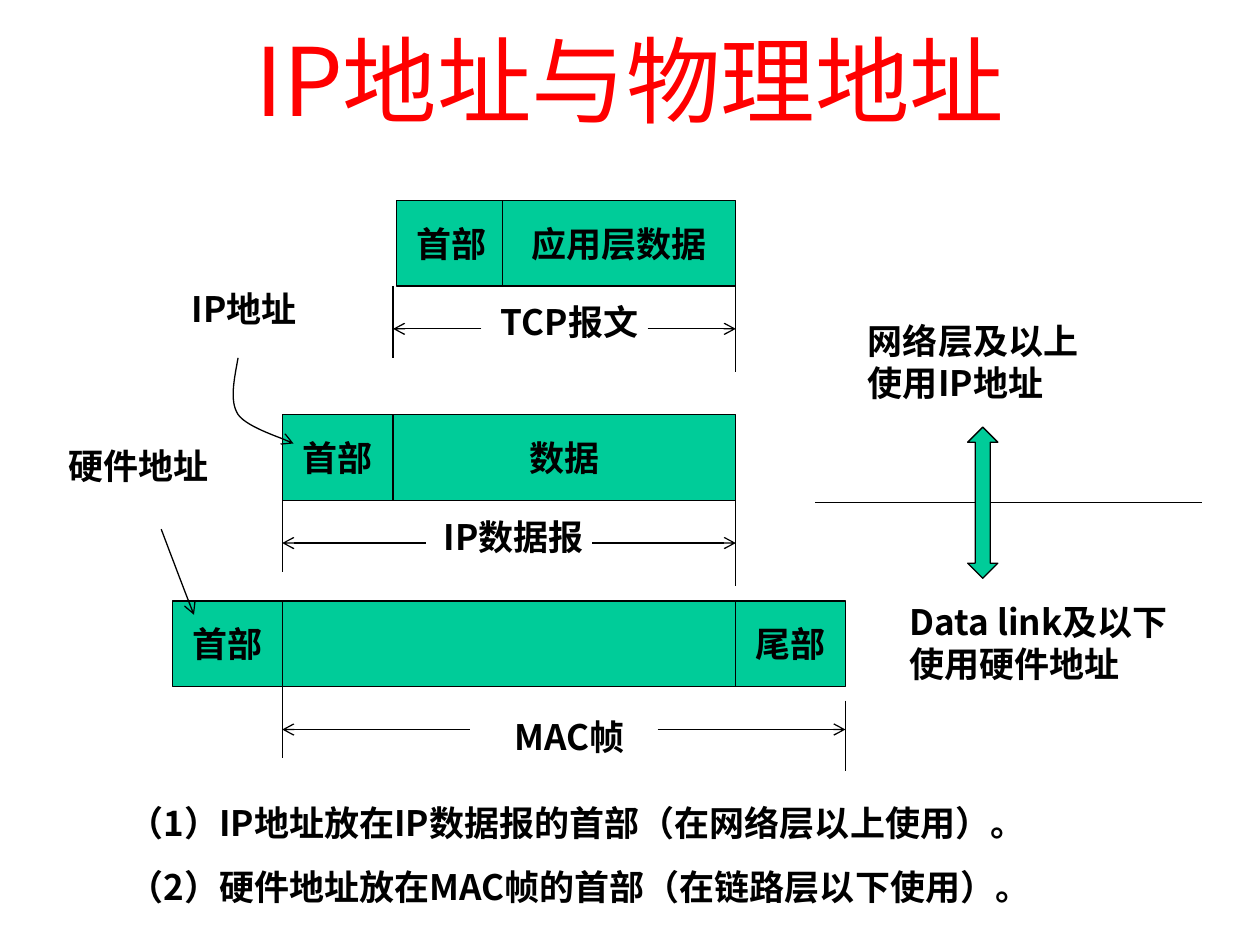
from dataclasses import dataclass

from lxml import etree
from pptx import Presentation, util as u
from pptx.dml.color import RGBColor
from pptx.enum import shapes, text
from pptx.oxml.ns import qn

FONT = "Noto Sans CJK SC"
BLACK, GREEN, RED = "000000", "00CC99", "FF0000"
MAC, IP, TCP, DATA, END, TRAILER = 1.37, 2.24, 3.12, 3.99, 5.84, 6.71
ROW_TCP, ROW_IP, ROW_MAC = 1.59, 3.29, 4.77
ROW_H, TICK_H, SPAN_LABEL_W = 0.68, 0.57, 1.5


@dataclass
class Field:
    left: float
    right: float
    row: float
    label: str = ""


@dataclass
class Span:
    left: float
    right: float
    row: float
    arrow_y: float
    arrow_len: float
    right_tick: tuple[float, float]
    label_centre: float
    label_top: float
    label: str


@dataclass
class Label:
    left: float
    top: float
    width: float
    height: float
    lines: list[str]
    centred: bool = False
    anchor: text.MSO_ANCHOR = text.MSO_ANCHOR.MIDDLE
    gap: float = 0


def rgb(value: str) -> RGBColor:
    return RGBColor.from_string(value)


def outline(sp, arrow: bool = False) -> None:
    sp.line.color.rgb = rgb(BLACK)
    sp.line.width = u.Pt(0.75)
    if arrow:
        etree.SubElement(sp.line._get_or_add_ln(), qn("a:tailEnd"), type="arrow")


def write(tf, lines: list[str], align, size: float = 20, color: str = BLACK,
          bold: bool = True, gap: float = 0) -> None:
    for i, line in enumerate(lines):
        p = tf.add_paragraph() if i else tf.paragraphs[0]
        p.alignment = align
        p.space_before = u.Pt(gap if i else 0)
        r = p.add_run()
        r.text = line
        r.font.size, r.font.bold, r.font.name = u.Pt(size), bold, FONT
        r.font.color.rgb = rgb(color)
        etree.SubElement(r.font._element, qn("a:ea"), typeface=FONT)


def add_label(s, label: Label) -> None:
    sp = s.shapes.add_textbox(*map(u.Inches, (label.left, label.top, label.width, label.height)))
    tf = sp.text_frame
    tf.word_wrap = not label.centred
    tf.vertical_anchor = label.anchor
    align = text.PP_ALIGN.CENTER if label.centred else text.PP_ALIGN.LEFT
    write(tf, label.lines, align, gap=label.gap)


def add_solid(s, kind, left: float, top: float, width: float, height: float):
    sp = s.shapes.add_shape(kind, *map(u.Inches, (left, top, width, height)))
    sp.shadow.inherit = False
    sp.fill.solid()
    sp.fill.fore_color.rgb = rgb(GREEN)
    outline(sp)
    return sp


def add_field(s, field: Field) -> None:
    sp = add_solid(s, shapes.MSO_SHAPE.RECTANGLE, field.left, field.row,
                   field.right - field.left, ROW_H)
    if field.label:
        tf = sp.text_frame
        tf.word_wrap = False
        tf.vertical_anchor = text.MSO_ANCHOR.MIDDLE
        write(tf, [field.label], text.PP_ALIGN.CENTER)


def add_line(s, x1: float, y1: float, x2: float, y2: float, arrow: bool = False) -> None:
    sp = s.shapes.add_connector(shapes.MSO_CONNECTOR.STRAIGHT, *map(u.Inches, (x1, y1, x2, y2)))
    outline(sp, arrow)
    etree.SubElement(sp._element.spPr, qn("a:effectLst"))


def add_span(s, span: Span) -> None:
    bottom = span.row + ROW_H
    add_line(s, span.left, bottom, span.left, bottom + TICK_H)
    add_line(s, span.right, span.right_tick[0], span.right, span.right_tick[1])
    for edge, step in ((span.left, span.arrow_len), (span.right, -span.arrow_len)):
        add_line(s, edge + step, span.arrow_y, edge, span.arrow_y, arrow=True)
    add_label(s, Label(span.label_centre - SPAN_LABEL_W / 2, span.label_top,
                       SPAN_LABEL_W, TICK_H, [span.label], centred=True))


def add_curve(s, points: list[tuple[float, float]], steps: int = 16) -> None:
    track = [points[0]]
    for k in range(0, len(points) - 1, 3):
        a, b, c, d = points[k:k + 4]
        for n in range(1, steps + 1):
            t = n / steps
            weights = ((1 - t) ** 3, 3 * t * (1 - t) ** 2, 3 * t * t * (1 - t), t ** 3)
            track.append(tuple(sum(w * q[axis] for w, q in zip(weights, (a, b, c, d)))
                               for axis in (0, 1)))
    start, *rest = [(u.Inches(x), u.Inches(y)) for x, y in track]
    builder = s.shapes.build_freeform(*start)
    builder.add_line_segments(rest, close=False)
    sp = builder.convert_to_shape()
    sp.shadow.inherit = False
    sp.fill.background()
    outline(sp, arrow=True)


FIELDS = [
    Field(3.15, 4.02, ROW_TCP, "首部"),
    Field(DATA, END, ROW_TCP, "应用层数据"),
    Field(IP, TCP, ROW_IP, "首部"),
    Field(TCP, END, ROW_IP, "数据"),
    Field(MAC, IP, ROW_MAC, "首部"),
    Field(IP, END, ROW_MAC),
    Field(END, TRAILER, ROW_MAC, "尾部"),
]
SPANS = [
    Span(TCP, END, ROW_TCP, 2.61, 0.7, (2.27, 2.95), 4.52, 2.27, "TCP报文"),
    Span(IP, END, ROW_IP, 4.31, 1.14, (3.97, 4.65), 4.08, 3.97, "IP数据报"),
    Span(IP, TRAILER, ROW_MAC, 5.79, 1.49, (5.56, 6.12), 4.52, 5.56, "MAC帧"),
]
POINTERS = [
    [(1.89, 2.84), (1.86, 3.01), (1.82, 3.18), (1.89, 3.29),
     (1.97, 3.4), (2.26, 3.48), (2.33, 3.52)],
    [(1.28, 4.2), (1.39, 4.49), (1.5, 4.78), (1.54, 4.88)],
]
LABELS = [
    Label(1.28, 2.16, 1.32, 0.57, ["IP地址"], centred=True),
    Label(0.4, 3.41, 1.4, 0.57, ["硬件地址"], centred=True),
    Label(6.79, 2.53, 2.51, 0.68, ["网络层及以上", "使用IP地址"]),
    Label(7.12, 4.76, 2.51, 0.68, ["Data link及以下", "使用硬件地址"]),
    Label(0.92, 6.31, 8.67, 0.94,
          ["（1）IP地址放在IP数据报的首部（在网络层以上使用）。",
           "（2）硬件地址放在MAC帧的首部（在链路层以下使用）。"],
          anchor=text.MSO_ANCHOR.TOP, gap=12.5),
]


def main() -> None:
    prs = Presentation()
    prs.slide_width, prs.slide_height = u.Inches(10), u.Inches(7.5)
    s = prs.slides.add_slide(prs.slide_layouts[5])

    title = s.shapes.title
    title.left, title.top = 0, 0
    title.width, title.height = prs.slide_width, u.Inches(1.25)
    tf = title.text_frame
    tf.auto_size = text.MSO_AUTO_SIZE.NONE
    tf.vertical_anchor = text.MSO_ANCHOR.MIDDLE
    write(tf, ["IP地址与物理地址"], text.PP_ALIGN.CENTER, size=54, color=RED, bold=False)

    for field in FIELDS:
        add_field(s, field)
    for span in SPANS:
        add_span(s, span)
    for points in POINTERS:
        add_curve(s, points)
    add_line(s, 6.47, 3.99, 9.54, 3.99)
    both_ways = add_solid(s, shapes.MSO_SHAPE.UP_DOWN_ARROW, 7.68, 3.39, 0.24, 1.2)
    both_ways.adjustments[0], both_ways.adjustments[1] = 0.98, 0.5
    for label in LABELS:
        add_label(s, label)

    prs.save("out.pptx")


if __name__ == "__main__":
    main()
